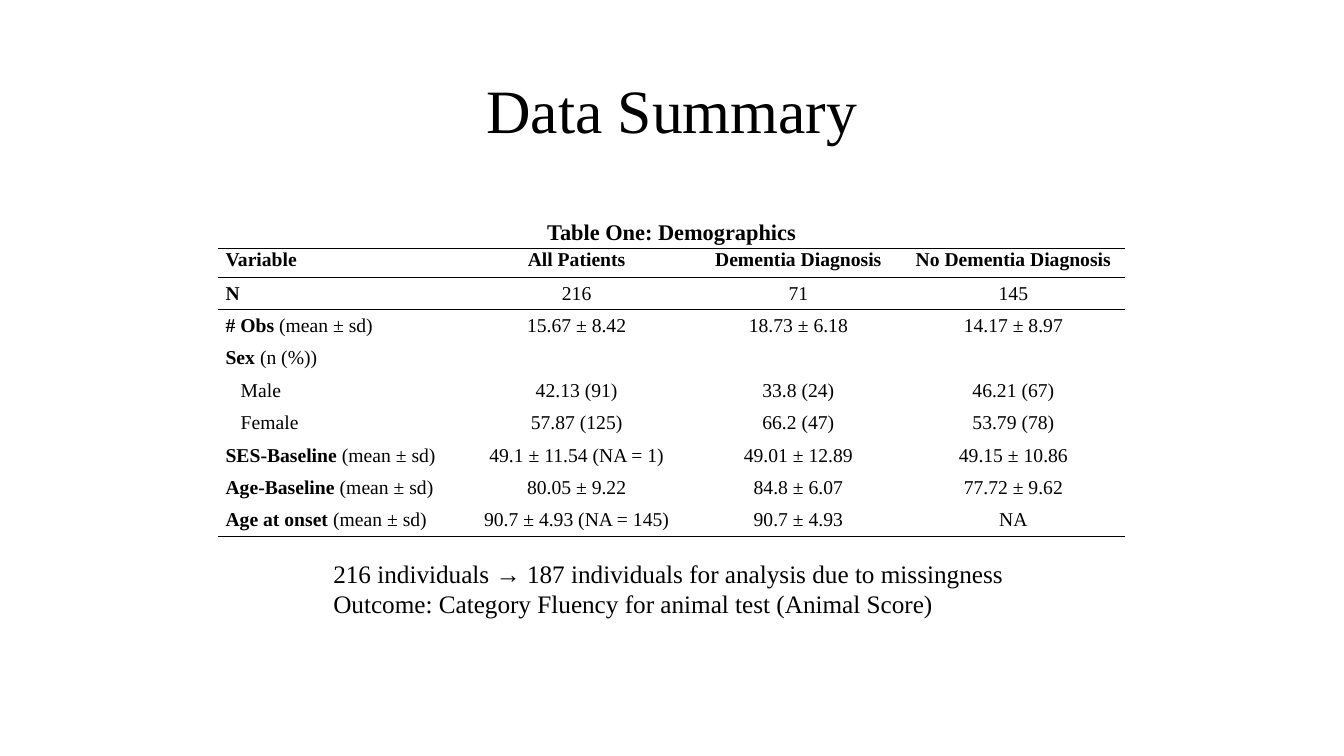
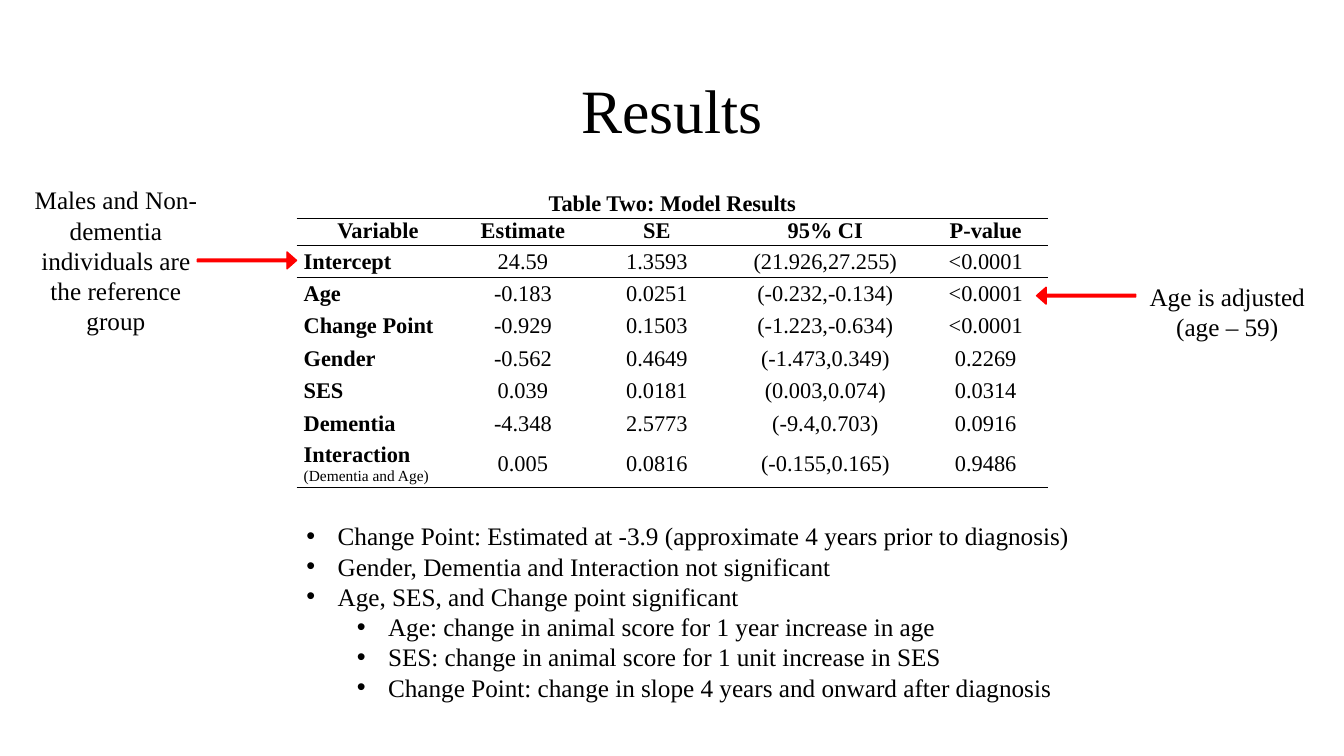
from lxml import etree
from pptx import Presentation, util as u
from pptx.dml.color import RGBColor
from pptx.enum import shapes, text
from pptx.oxml.ns import qn

# Shared style
BLACK = RGBColor(0x00, 0x00, 0x00)
RED = RGBColor(0xFF, 0x00, 0x00)
FONT = "Times New Roman"
TITLE_SIZE, BODY_SIZE, CAPTION_SIZE, NOTE_SIZE = 44, 18, 16, 11
LEFT, CENTER = text.PP_ALIGN.LEFT, text.PP_ALIGN.CENTER
PLAIN_TABLE = "{2D5ABB26-0587-4C30-8999-92F81FD0307C}"

# Grid of 160 columns by 90 rows over the slide
WIDTH, HEIGHT = u.Inches(13.33), u.Inches(7.5)
ROW_STEP = 3.86
INSET, SUB_ITEM = 0.86, 1.8


def col(n):
    return round(WIDTH * n / 160)


def row(n):
    return round(HEIGHT * n / 90)


def area(x, y, w, h):
    return col(x), row(y), col(w), row(h)


# Text
def add_run(paragraph, words, size, bold=False):
    run = paragraph.add_run()
    run.text = words
    run.font.name, run.font.size, run.font.bold = FONT, u.Pt(size), bold
    run.font.color.rgb = BLACK


def next_paragraph(frame, index, align):
    paragraph = frame.add_paragraph() if index else frame.paragraphs[0]
    paragraph.alignment = align
    return paragraph


def add_text(slide, place, lines, size=BODY_SIZE, align=LEFT, wrap=True):
    frame = slide.shapes.add_textbox(*area(*place)).text_frame
    frame.word_wrap = wrap
    for i, line in enumerate(lines):
        add_run(next_paragraph(frame, i, align), line, size)
    return frame


def add_title(slide, words):
    frame = add_text(slide, (11, 4.8, 138, 17.4), [words], TITLE_SIZE, CENTER)
    frame.vertical_anchor = text.MSO_ANCHOR.MIDDLE
    frame.paragraphs[0].line_spacing = 0.9


def add_bullets(slide, place, items):
    frame = add_text(slide, place, [words for _, words in items])
    for paragraph, (level, _) in zip(frame.paragraphs, items):
        paragraph.level = level
        props = paragraph._p.get_or_add_pPr()
        props.set("marL", str(u.Inches(0.31 + 0.5 * level)))
        props.set("indent", str(u.Inches(-0.31)))
        etree.SubElement(props, qn("a:buFont")).set("typeface", "Arial")
        etree.SubElement(props, qn("a:buChar")).set("char", "•")


# Arrow that points left until it is turned
def add_arrow(slide, x, y, turn=0):
    arrow = slide.shapes.add_shape(shapes.MSO_SHAPE.LEFT_ARROW, *area(x, y, 11.8, 2))
    arrow.adjustments[0], arrow.adjustments[1] = 0.155, 0.569
    arrow.rotation = turn
    arrow.shadow.inherit = False
    arrow.fill.solid()
    arrow.fill.fore_color.rgb = arrow.line.color.rgb = RED
    arrow.line.width = u.Pt(1)


# Tables
def add_rule(cell, tag, width):
    props = cell._tc.get_or_add_tcPr()
    line = etree.Element(qn(tag), w=str(u.Pt(width)))
    fill = etree.SubElement(line, qn("a:solidFill"))
    etree.SubElement(fill, qn("a:srgbClr")).set("val", str(BLACK))
    props.insert(len(props.findall(qn("a:lnT"))), line)


def write_label(cell, label, size):
    """Bold name, then plain text after '|' or a small plain line after '/'."""
    name, _, note = label.partition("/")
    bold, _, plain = name.partition("|")
    paragraph = next_paragraph(cell.text_frame, 0, LEFT)
    if bold:
        add_run(paragraph, bold, size, True)
    else:
        cell.margin_left = col(INSET + SUB_ITEM)
    if plain:
        add_run(paragraph, plain, size)
    if note:
        add_run(next_paragraph(cell.text_frame, 1, LEFT), note, NOTE_SIZE)


def add_ruled_table(slide, corner, widths, heights, caption, header, body,
                    size, top_rule=1, first_header=CENTER):
    grid = [[caption] + [""] * (len(header) - 1), header, *body]
    place = area(*corner, sum(widths), sum(heights))
    table = slide.shapes.add_table(len(grid), len(widths), *place).table
    table.first_row = table.horz_banding = False
    table._tbl.tblPr.find(qn("a:tableStyleId")).text = PLAIN_TABLE
    for column, width in zip(table.columns, widths):
        column.width = col(width)
    for line, height in zip(table.rows, heights):
        line.height = row(height)
    rules = {0: top_rule, 1: 1, len(grid) - 1: 1}  # width of the rule below a row

    for r, values in enumerate(grid):
        for c, value in enumerate(values):
            cell = table.cell(r, c)
            cell.fill.background()
            cell.margin_left = cell.margin_right = col(INSET)
            cell.margin_top = cell.margin_bottom = 0
            if r > 1:
                cell.vertical_anchor = text.MSO_ANCHOR.MIDDLE
            if r - 1 in rules:
                add_rule(cell, "a:lnT", rules[r - 1])
            if r in rules:
                add_rule(cell, "a:lnB", rules[r])
            if r > 1 and c == 0:
                write_label(cell, value, size)
            elif value:
                align = first_header if (r, c) == (1, 0) else CENTER
                paragraph = next_paragraph(cell.text_frame, 0, align)
                add_run(paragraph, value, size if r else CAPTION_SIZE, r < 2)
    table.cell(0, 0).merge(table.cell(0, len(widths) - 1))


# Slides
def build_summary(slide):
    add_title(slide, "Data Summary")
    add_text(slide, (38.5, 65.9, 83, 8.5), [
        "216 individuals → 187 individuals for analysis due to missingness",
        "Outcome: Category Fluency for animal test (Animal Score)",
    ], wrap=False)
    demographics = [
        ["N", "216", "71", "145"],
        ["# Obs |(mean ± sd)", "15.67 ± 8.42", "18.73 ± 6.18", "14.17 ± 8.97"],
        ["Sex |(n (%))", "", "", ""],
        ["|Male", "42.13 (91)", "33.8 (24)", "46.21 (67)"],
        ["|Female", "57.87 (125)", "66.2 (47)", "53.79 (78)"],
        ["SES-Baseline| (mean ± sd)", "49.1 ± 11.54 (NA = 1)", "49.01 ± 12.89", "49.15 ± 10.86"],
        ["Age-Baseline| (mean ± sd)", "80.05 ± 9.22", "84.8 ± 6.07", "77.72 ± 9.62"],
        ["Age at onset| (mean ± sd)", "90.7 ± 4.93 (NA = 145)", "90.7 ± 4.93", "NA"],
    ]
    add_ruled_table(
        slide, (26, 26.2), [28.6, 28.1, 24.7, 26.5],
        [3.4] * 2 + [ROW_STEP] * len(demographics), "Table One: Demographics",
        ["Variable", "All Patients", "Dementia Diagnosis", "No Dementia Diagnosis"],
        demographics, size=14, first_header=LEFT)


def build_results(slide):
    add_title(slide, "Results")
    add_arrow(slide, 23.5, 30, turn=180)
    add_bullets(slide, (35.3, 61.4, 97.8, 23), [
        (0, "Change Point: Estimated at -3.9 (approximate 4 years prior to diagnosis)"),
        (0, "Gender, Dementia and Interaction not significant"),
        (0, "Age, SES, and Change point significant"),
        (1, "Age: change in animal score for 1 year increase in age"),
        (1, "SES: change in animal score for 1 unit increase in SES"),
        (1, "Change Point: change in slope 4 years and onward after diagnosis"),
    ])
    estimates = [
        ["Intercept", "24.59", "1.3593", "(21.926,27.255)", "<0.0001"],
        ["Age", "-0.183", "0.0251", "(-0.232,-0.134)", "<0.0001"],
        ["Change Point", "-0.929", "0.1503", "(-1.223,-0.634)", "<0.0001"],
        ["Gender", "-0.562", "0.4649", "(-1.473,0.349)", "0.2269"],
        ["SES", "0.039", "0.0181", "(0.003,0.074)", "0.0314"],
        ["Dementia", "-4.348", "2.5773", "(-9.4,0.703)", "0.0916"],
        ["Interaction/(Dementia and Age)", "0.005", "0.0816", "(-0.155,0.165)", "0.9486"],
    ]
    add_ruled_table(
        slide, (35.3, 22.8), [19.4, 15.1, 16.8, 23.3, 14.9],
        [3.16] * 2 + [ROW_STEP] * (len(estimates) - 1) + [5.64],
        "Table Two: Model Results",
        ["Variable", "Estimate", "SE", "95% CI", "P-value"],
        estimates, size=16, top_rule=1.5)
    add_arrow(slide, 123.4, 34.2)
    add_text(slide, (135.2, 32.9, 21.8, 8.5), ["Age is adjusted (age – 59)"], align=CENTER)
    add_text(slide, (2.7, 21.4, 22.2, 19.4),
             ["Males and Non-dementia individuals are the reference group"], align=CENTER)


def main():
    deck = Presentation()
    deck.slide_width, deck.slide_height = WIDTH, HEIGHT
    blank = deck.slide_layouts[6]
    for build in (build_summary, build_results):
        build(deck.slides.add_slide(blank))
    deck.save("out.pptx")


main()
